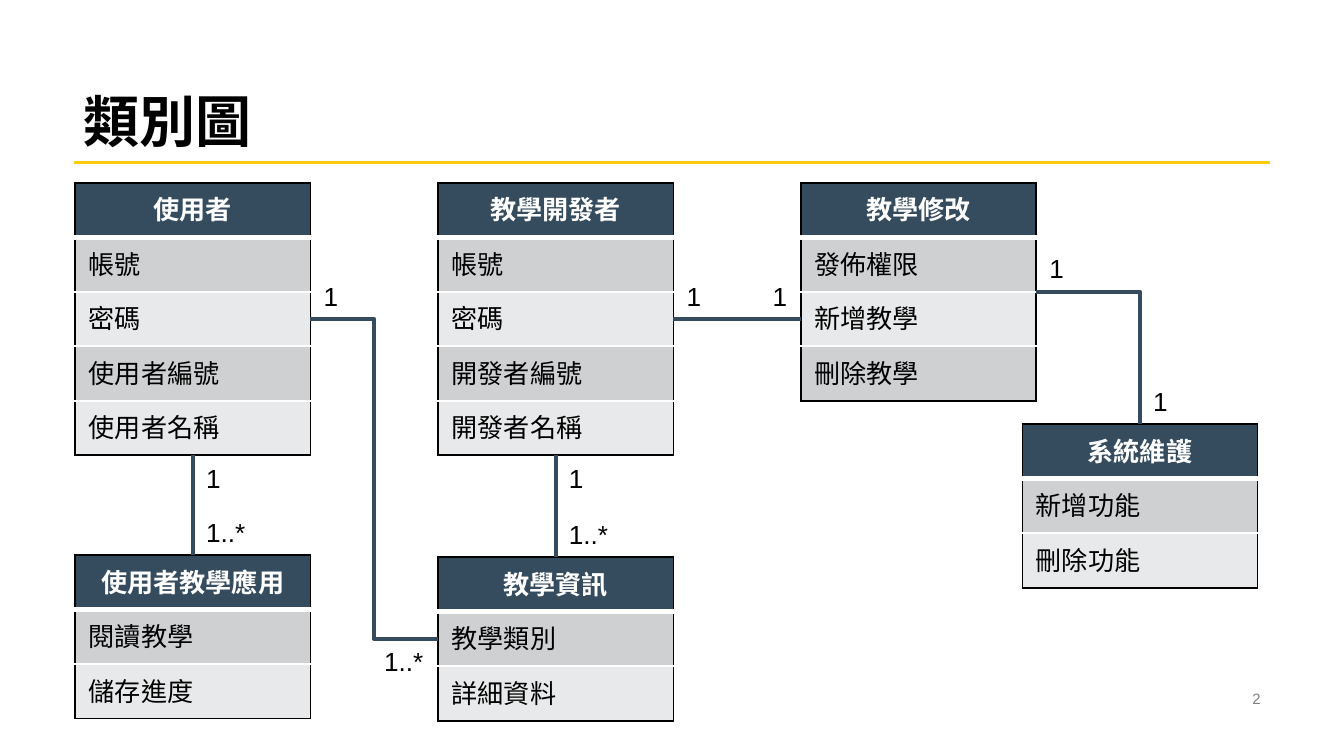
from lxml.etree import SubElement
from pptx import Presentation
from pptx.dml.color import RGBColor
from pptx.enum.lang import MSO_LANGUAGE_ID as Language
from pptx.enum.shapes import MSO_CONNECTOR as Connector
from pptx.enum.text import MSO_ANCHOR as Anchor, MSO_AUTO_SIZE as AutoSize, PP_ALIGN as Align
from pptx.oxml.ns import qn
from pptx.util import Inches, Pt

WHITE = RGBColor(0xFF, 0xFF, 0xFF)
BLACK = RGBColor(0x00, 0x00, 0x00)
GRAY = RGBColor(0x80, 0x80, 0x80)
NAVY = RGBColor(0x35, 0x4B, 0x5E)
YELLOW = RGBColor(0xFC, 0xCA, 0x07)
BANDS = (RGBColor(0xCE, 0xD0, 0xD2), RGBColor(0xE8, 0xE9, 0xEA))

FONT = "Arial"
WIDTH = Inches(10)
HEIGHT = WIDTH * 9 // 16
MARGIN = Inches(0.55)
GRID_LEFT, GRID_TOP = Inches(0.56), Inches(1.36)
COLUMN_STEP, CLASS_WIDTH, ROW = Inches(2.7), Inches(1.75), Pt(29.2)
LABEL_HEIGHT = Inches(0.34)

CLASSES = {
    "使用者": (0, 0, ["帳號", "密碼", "使用者編號", "使用者名稱"]),
    "教學開發者": (1, 0, ["帳號", "密碼", "開發者編號", "開發者名稱"]),
    "教學修改": (2, 0, ["發佈權限", "新增教學", "刪除教學"]),
    "系統維護": (2.61, 4.43, ["新增功能", "刪除功能"]),
    "教學資訊": (1, 6.87, ["教學類別", "詳細資料"]),
    "使用者教學應用": (0, 6.83, ["閱讀教學", "儲存進度"]),
}


def write(paragraph, text, size, color, bold=False, align=Align.LEFT):
    """Add one formatted run to a paragraph."""
    paragraph.alignment = align
    run = paragraph.add_run()
    run.text = text
    font = run.font
    font.name, font.size, font.bold = FONT, Pt(size), bold
    font.color.rgb = color
    font.language_id = Language.TRADITIONAL_CHINESE


def set_borders(cell, top, bottom):
    """Give a cell black sides and the given (color, points) top and bottom."""
    side = (BLACK, 1)
    properties = cell._tc.get_or_add_tcPr()
    borders = {"lnL": side, "lnR": side, "lnT": top, "lnB": bottom}
    for index, (tag, (color, points)) in enumerate(borders.items()):
        line = SubElement(properties, qn(f"a:{tag}"), w=str(Pt(points)))
        fill = SubElement(line, qn("a:solidFill"))
        SubElement(fill, qn("a:srgbClr"), val=str(color))
        properties.insert(index, line)


def add_class(slide, name, column, row, members):
    """Draw a class as a one-column table at a grid position."""
    entries = [name, *members]
    frame = slide.shapes.add_table(
        len(entries), 1, int(GRID_LEFT + column * COLUMN_STEP),
        int(GRID_TOP + row * ROW), CLASS_WIDTH, ROW * len(entries))
    table = frame.table
    table.horz_banding = False
    edges = [(BLACK, 1), (WHITE, 3), *[(WHITE, 1)] * (len(members) - 1), (BLACK, 1)]
    for index, text in enumerate(entries):
        header = index == 0
        cell = table.cell(index, 0)
        cell.fill.solid()
        cell.fill.fore_color.rgb = NAVY if header else BANDS[(index - 1) % 2]
        write(cell.text_frame.paragraphs[0], text, 14, WHITE if header else BLACK,
              header, Align.CENTER if header else Align.LEFT)
        set_borders(cell, edges[index], edges[index + 1])
    return frame


def side_middle(frame, side):
    """Return the middle of a frame's side: 0 top, 1 left, 2 bottom, 3 right."""
    across, down = [(0.5, 0), (0, 0.5), (0.5, 1), (1, 0.5)][side]
    return int(frame.left + across * frame.width), int(frame.top + down * frame.height)


def add_line(slide, start, end, color=NAVY, points=2.25, kind=Connector.STRAIGHT):
    """Draw a flat connector between two points."""
    line = slide.shapes.add_connector(kind, *start, *end)
    line.line.color.rgb = color
    line.line.width = Pt(points)
    SubElement(line._element.spPr, qn("a:effectLst"))
    return line


def add_label(slide, point, text, left_of=False, above=True):
    """Place a multiplicity in the chosen quadrant beside a point."""
    width = Inches(0.31 if text == "1" else 0.5)
    box = slide.shapes.add_textbox(
        point[0] - width * left_of, point[1] - LABEL_HEIGHT * above, width, LABEL_HEIGHT)
    box.text_frame.word_wrap = False
    box.text_frame.auto_size = AutoSize.SHAPE_TO_FIT_TEXT
    write(box.text_frame.paragraphs[0], text, 14, BLACK)


def set_frame(frame, anchor):
    """Set the insets, wrapping and anchor shared by title and page number."""
    frame.word_wrap = True
    frame.auto_size = AutoSize.NONE
    frame.vertical_anchor = anchor
    frame.margin_left = frame.margin_right = Inches(0.07)
    frame.margin_top = frame.margin_bottom = Inches(0.04)


def add_heading(slide, left, top, width, height):
    """Place the title and the rule beneath it."""
    title = slide.shapes.title
    title.left, title.top, title.width, title.height = left, top, width, height
    set_frame(title.text_frame, Anchor.BOTTOM)
    paragraph = title.text_frame.paragraphs[0]
    paragraph.line_spacing = 0.9
    write(paragraph, "類別圖", 30, BLACK, True)
    rule = top + height + Inches(0.02)
    add_line(slide, (left, rule), (left + width, rule), YELLOW, 1.5)


def add_page_number(slide, left, top, width, height):
    """Place the page number at the right of its box."""
    box = slide.shapes.add_textbox(left, top, width, height)
    set_frame(box.text_frame, Anchor.MIDDLE)
    write(box.text_frame.paragraphs[0], "2", 8, GRAY, align=Align.RIGHT)


def add_dependency(slide, upper, lower):
    """Join two stacked classes as one to many."""
    start, end = side_middle(upper, 2), side_middle(lower, 0)
    line = add_line(slide, start, end)
    line.begin_connect(upper, 2)
    line.end_connect(lower, 0)
    add_label(slide, start, "1", above=False)
    add_label(slide, end, "1..*")


def add_diagram(slide):
    """Draw every class and the associations between them."""
    frames = {name: add_class(slide, name, *place) for name, place in CLASSES.items()}
    user, developer, change, upkeep, info, usage = frames.values()
    add_dependency(slide, user, usage)
    add_dependency(slide, developer, info)

    start = side_middle(developer, 3)
    end = (change.left, start[1])
    add_line(slide, start, end).begin_connect(developer, 3)
    add_label(slide, start, "1")
    add_label(slide, end, "1", left_of=True)

    start, end = side_middle(change, 3), side_middle(upkeep, 0)
    corner = add_line(slide, start, end, kind=Connector.ELBOW)
    corner._element.spPr.find(qn("a:prstGeom")).set("prst", "bentConnector2")
    add_label(slide, start, "1")
    add_label(slide, end, "1")

    start, end = side_middle(user, 3), side_middle(info, 1)
    add_line(slide, start, end, kind=Connector.ELBOW)
    add_label(slide, start, "1")
    add_label(slide, end, "1..*", left_of=True, above=False)


def main():
    """Build and save the class diagram slide."""
    presentation = Presentation()
    presentation.slide_width, presentation.slide_height = WIDTH, HEIGHT
    slide = presentation.slides.add_slide(presentation.slide_layouts[5])
    add_heading(slide, MARGIN, 0, WIDTH - 2 * MARGIN, Inches(1.19))
    add_page_number(slide, Inches(7.06), Inches(5.11), Inches(2.39), Inches(0.17))
    add_diagram(slide)
    presentation.save("out.pptx")


if __name__ == "__main__":
    main()
